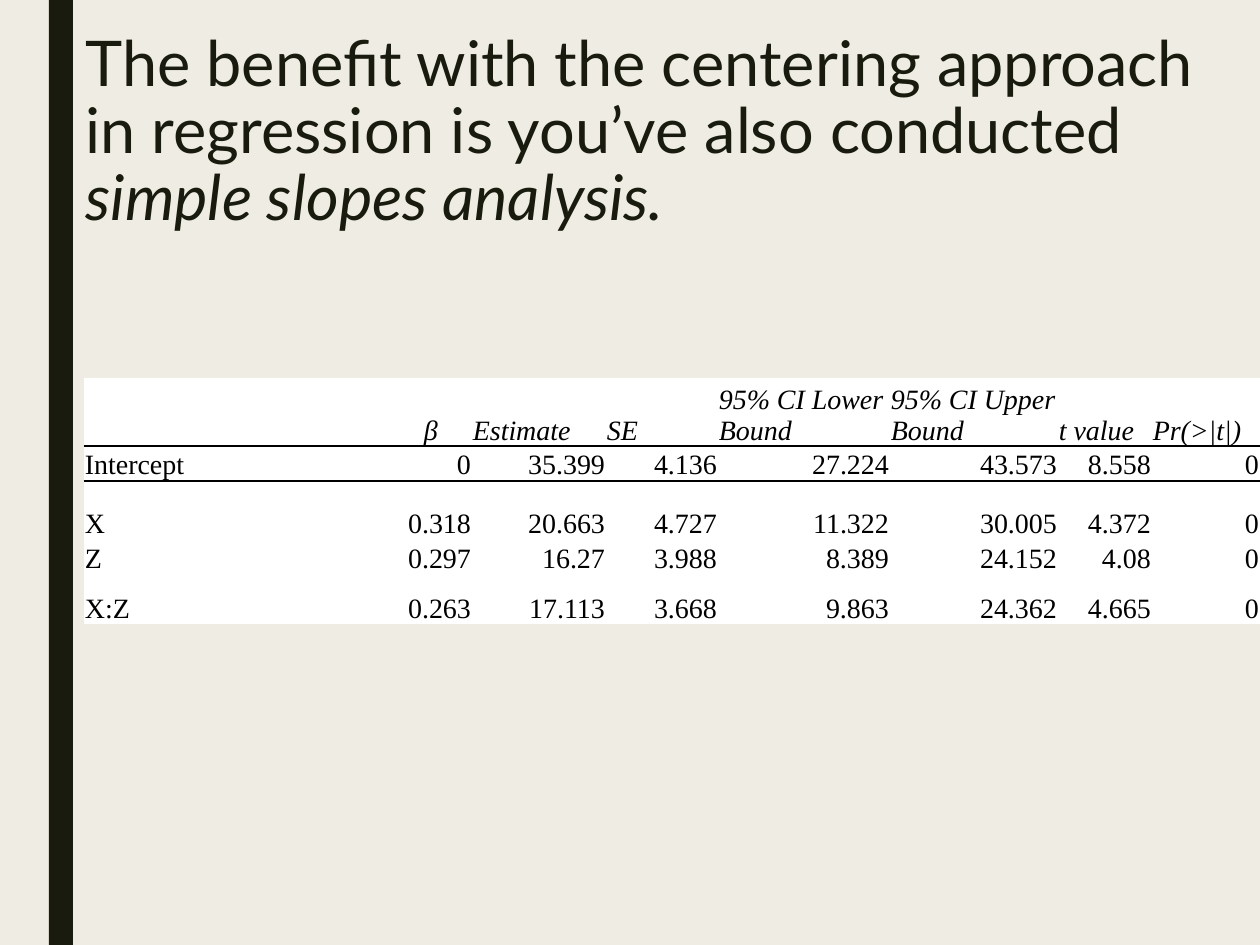
from dataclasses import dataclass

from lxml.etree import SubElement
from pptx import Presentation
from pptx.dml.color import RGBColor
from pptx.enum.shapes import MSO_SHAPE
from pptx.enum.text import MSO_ANCHOR, PP_ALIGN
from pptx.oxml.ns import qn
from pptx.util import Emu, Pt

PX = 914400 // 126
COLORS = {"page": "EFEDE3", "dark": "191B0E", "cell": "FFFFFF", "ink": "000000"}
PLAIN_STYLE = "{2D5ABB26-0587-4C30-8999-92F81FD0307C}"
HEADS = ["", "β", "Estimate", "SE", "95% CI Lower Bound",
         "95% CI Upper Bound", "t value", "Pr(>|t|)"]
TITLE = [("The benefit with the centering approach in regression is "
          "you’ve also conducted ", False),
         ("simple slopes analysis.", True)]
TITLE_FONT = {"name": "Lato", "size": Pt(36)}
CELL_FONT = {"name": "Times New Roman", "size": Pt(16)}
CELL_FORM = {"margin_left": PX, "margin_right": PX, "margin_top": PX,
             "margin_bottom": 0, "vertical_anchor": MSO_ANCHOR.BOTTOM}
WIDTHS = [306, 82, 134, 112, 172, 168, 94, 108]


@dataclass
class Box:
    left: int
    top: int
    width: int
    height: int

    def emu(self) -> list[Emu]:
        return [Emu(n * PX) for n in (self.left, self.top, self.width, self.height)]


@dataclass
class Row:
    height: int
    texts: list[str]
    head: bool = False
    rule: str = ""


ROWS = [
    Row(64, HEADS, True, "a:lnB"),
    Row(33, ["Intercept", "0", "35.399", "4.136", "27.224", "43.573", "8.558", "0"],
        rule="a:lnT"),
    Row(59, ["X", "0.318", "20.663", "4.727", "11.322", "30.005", "4.372", "0"]),
    Row(33, ["Z", "0.297", "16.27", "3.988", "8.389", "24.152", "4.08", "0"]),
    Row(50, ["X:Z", "0.263", "17.113", "3.668", "9.863", "24.362", "4.665", "0"]),
]


def color(key: str) -> RGBColor:
    return RGBColor.from_string(COLORS[key])


def apply(target, values: dict) -> None:
    for name, value in values.items():
        setattr(target, name, value)


def paint(fill, key: str) -> None:
    fill.solid()
    fill.fore_color.rgb = color(key)


def write(para, text: str, font: dict, key: str, italic: bool) -> None:
    run = para.add_run()
    run.text = text
    apply(run.font, font | {"italic": italic})
    run.font.color.rgb = color(key)


def draw_bar(slide, box: Box) -> None:
    bar = slide.shapes.add_shape(MSO_SHAPE.RECTANGLE, *box.emu())
    bar.shadow.inherit = False
    paint(bar.fill, "dark")
    bar.line.fill.background()


def draw_title(slide, box: Box) -> None:
    frame = slide.shapes.add_textbox(*box.emu()).text_frame
    frame.word_wrap = True
    para = frame.paragraphs[0]
    para.line_spacing = 0.89
    for text, italic in TITLE:
        write(para, text, TITLE_FONT, "dark", italic)


def rule_cell(cell, side: str) -> None:
    """Draw a one-point line on one side of the cell."""
    props = cell._tc.get_or_add_tcPr()
    line = SubElement(props, qn(side), w=str(Pt(1)))
    SubElement(SubElement(line, qn("a:solidFill")), qn("a:srgbClr"), val=COLORS["ink"])
    props.insert(0, line)


def align(row: Row, col: int) -> PP_ALIGN:
    if row.head:
        return PP_ALIGN.CENTER if col == 1 else PP_ALIGN.LEFT
    return PP_ALIGN.RIGHT if col else PP_ALIGN.LEFT


def draw_table(slide, left: int, top: int) -> None:
    box = Box(left, top, sum(WIDTHS), sum(row.height for row in ROWS))
    table = slide.shapes.add_table(len(ROWS), len(WIDTHS), *box.emu()).table
    apply(table, {"first_row": False, "horz_banding": False})
    table._tbl.tblPr.find(qn("a:tableStyleId")).text = PLAIN_STYLE
    for column, width in zip(table.columns, WIDTHS):
        column.width = Emu(width * PX)
    for r, row in enumerate(ROWS):
        table.rows[r].height = Emu(row.height * PX)
        for c, text in enumerate(row.texts):
            cell = table.cell(r, c)
            apply(cell, CELL_FORM)
            paint(cell.fill, "cell")
            if row.rule:
                rule_cell(cell, row.rule)
            para = cell.text_frame.paragraphs[0]
            para.alignment = align(row, c)
            if text:
                write(para, text, CELL_FONT, "ink", row.head)


def main() -> None:
    deck = Presentation()
    apply(deck, {"slide_width": Emu(1260 * PX), "slide_height": Emu(945 * PX)})
    slide = deck.slides.add_slide(deck.slide_layouts[6])
    paint(slide.background.fill, "page")
    draw_bar(slide, Box(49, 0, 24, 945))
    draw_title(slide, Box(73, 26, 1155, 210))
    draw_table(slide, 84, 378)
    deck.save("out.pptx")


if __name__ == "__main__":
    main()
